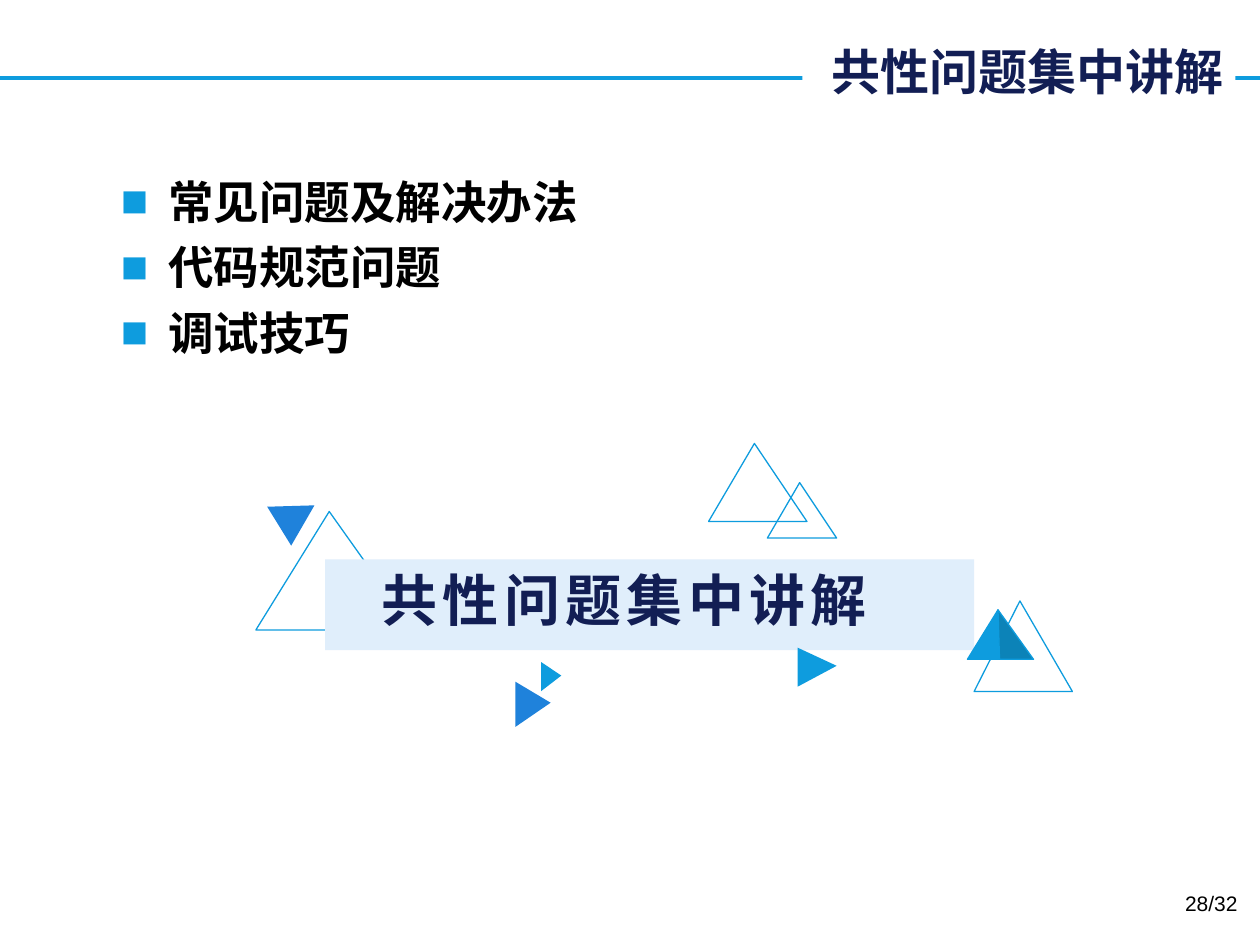
from lxml import etree
from pptx import Presentation
from pptx.dml.color import RGBColor
from pptx.enum.shapes import MSO_CONNECTOR, MSO_SHAPE
from pptx.enum.text import MSO_ANCHOR, PP_ALIGN
from pptx.oxml.ns import qn
from pptx.util import Pt

RECT, TRIANGLE = MSO_SHAPE.RECTANGLE, MSO_SHAPE.ISOSCELES_TRIANGLE
STRAIGHT = MSO_CONNECTOR.STRAIGHT
LEFT, CENTER, RIGHT = PP_ALIGN.LEFT, PP_ALIGN.CENTER, PP_ALIGN.RIGHT
TOP, MIDDLE = MSO_ANCHOR.TOP, MSO_ANCHOR.MIDDLE

SKY, BLUE, TEAL = "0E9CDE", "1F82DB", "0C83B8"
NAVY, PALE, BLACK, WHITE = "121E54", "E0EEFB", "000000", "FFFFFF"
SANS, CJK = "Arial", "Noto Sans CJK SC"
TOPIC = "共性问题集中讲解"


def rgb(value):
    return RGBColor.from_string(value)


class Deck:
    """Holds the slide and draws each kind of element in its style."""

    def __init__(self, width, height):
        self.prs = Presentation()
        self.prs.slide_width, self.prs.slide_height = Pt(width), Pt(height)
        self.s = self.prs.slides.add_slide(self.prs.slide_layouts[6])

    def paint(self, sp, fill=None, line=None):
        sp.shadow.inherit = False
        if fill:
            sp.fill.solid()
            sp.fill.fore_color.rgb = rgb(fill)
        else:
            sp.fill.background()
        if line:
            sp.line.color.rgb = rgb(line)
            sp.line.width = Pt(0.75)
        else:
            sp.line.fill.background()

    def rule(self, x1, y1, x2, y2, color, width):
        cn = self.s.shapes.add_connector(STRAIGHT, Pt(x1), Pt(y1), Pt(x2), Pt(y2))
        cn.line.color.rgb = rgb(color)
        cn.line.width = Pt(width)
        etree.SubElement(cn._element.spPr, qn("a:effectLst"))

    def shape(self, kind, box, fill=None, line=None):
        sp = self.s.shapes.add_shape(kind, *map(Pt, box))
        self.paint(sp, fill, line)
        return sp

    def triangle(self, box, rotation=0, fill=None, line=None):
        sp = self.shape(TRIANGLE, box, fill, line)
        sp.adjustments[0] = 0.466
        sp.rotation = rotation

    def polygon(self, points, fill, line):
        start, *rest = [(Pt(x), Pt(y)) for x, y in points]
        fb = self.s.shapes.build_freeform(*start, scale=1.0)
        fb.add_line_segments(rest, close=True)
        self.paint(fb.convert_to_shape(), fill, line)

    def textbox(self, box):
        return self.s.shapes.add_textbox(*map(Pt, box))

    def bullet(self, p, color, indent):
        pPr = p._p.get_or_add_pPr()
        pPr.set("marL", str(Pt(indent)))
        pPr.set("indent", str(-Pt(indent)))
        clr = etree.SubElement(pPr, qn("a:buClr"))
        etree.SubElement(clr, qn("a:srgbClr"), val=color)
        etree.SubElement(pPr, qn("a:buFont"), typeface=SANS)
        etree.SubElement(pPr, qn("a:buChar"), char="■")

    def text(self, sp, lines, size, font, color, bold=True, align=LEFT, anchor=TOP,
             insets=(7.2, 3.6, 7.2, 3.6), gap=0, tracking=0, bullet=None):
        tf = sp.text_frame
        tf.word_wrap = True
        tf.vertical_anchor = anchor
        tf.margin_left, tf.margin_top, tf.margin_right, tf.margin_bottom = map(Pt, insets)
        for i, line in enumerate(lines):
            p = tf.add_paragraph() if i else tf.paragraphs[0]
            p.alignment = align
            if i and gap:
                p.space_before = Pt(gap)
            if bullet:
                self.bullet(p, bullet, 27)
            r = p.add_run()
            r.text = line
            r.font.size, r.font.bold = Pt(size), bold
            r.font.color.rgb = rgb(color)
            r.font.name = font
            rPr = r.font._element
            etree.SubElement(rPr, qn("a:ea"), typeface=font)
            if tracking:
                rPr.set("spc", str(tracking * 100))


def main():
    deck = Deck(720, 540)

    # Title over the header rule
    deck.rule(0, 44.8, 720, 44.8, SKY, 2.25)
    title = deck.shape(RECT, (458.5, 20.2, 247.5, 41), WHITE)
    deck.text(title, [TOPIC], 28, CJK, NAVY, align=RIGHT, anchor=MIDDLE)

    # Bullet list
    body = deck.textbox((62, 95.8, 602, 404.6))
    deck.text(body, ["常见问题及解决办法", "代码规范问题", "调试技巧"],
              26, SANS, BLACK, gap=6.2, bullet=SKY)

    # Triangles behind the banner
    deck.triangle((146.2, 292.3, 90, 67.7), line=SKY)
    deck.triangle((556.6, 343.4, 56.2, 51.8), line=SKY)
    deck.triangle((306.7, 380.9, 16.6, 11.5), 90, fill=SKY)
    deck.triangle((149.8, 283, 26.6, 23), 300, fill=BLUE)

    # Banner; the wide right inset shifts the centred text to the left
    banner = deck.shape(RECT, (185.8, 319.7, 370.8, 51.8), PALE)
    deck.text(banner, [TOPIC], 32, CJK, NAVY, align=CENTER,
              insets=(7.2, 3.3, 36, 2), tracking=3)

    # Triangles in front of the banner
    deck.triangle((438.5, 275.8, 39.6, 31.7), line=SKY)
    deck.triangle((404.9, 253.4, 56.2, 44.6), line=SKY)
    deck.triangle((291.6, 392.4, 25.9, 20.2), 90, fill=BLUE)
    deck.triangle((455.8, 370.1, 22.3, 22.3), 90, fill=SKY)

    # Two-tone pyramid
    peak, foot = (570.3, 348.5), (571.2, 376.8)
    for corner, fill in (((552.8, 376.8), SKY), ((590.6, 376.8), TEAL)):
        deck.polygon([corner, peak, foot], fill, SKY)

    # Page number
    number = deck.textbox((546.5, 505.4, 167.8, 28.8))
    deck.text(number, ["28/32"], 12, SANS, BLACK, bold=False, align=RIGHT)

    deck.prs.save("out.pptx")


if __name__ == "__main__":
    main()
